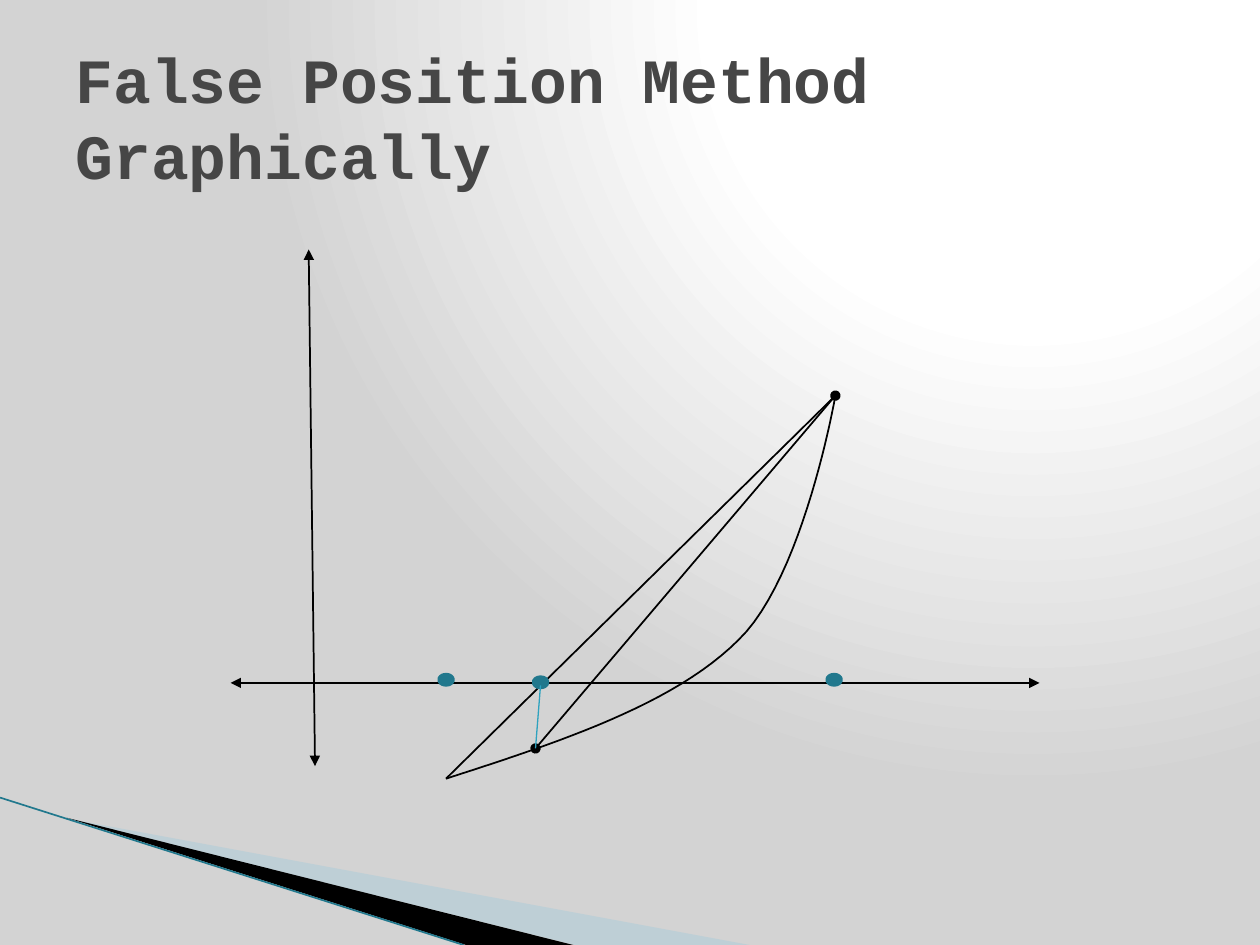
from lxml.etree import SubElement
from pptx import Presentation
from pptx.dml.color import RGBColor
from pptx.enum.shapes import MSO_CONNECTOR, MSO_SHAPE
from pptx.enum.text import MSO_ANCHOR, MSO_AUTO_SIZE, PP_ALIGN
from pptx.oxml import parse_xml
from pptx.oxml.ns import nsdecls, qn
from pptx.util import Inches, Pt

COLORS = {
    "white": "FFFFFF", "gray": "D3D3D3", "title": "464646", "black": "000000",
    "pale": "A0CBDC", "teal": "2DA2BF", "dark_teal": "21788D",
}
BEZIER_STEPS = 24


def rgb(name):
    return RGBColor.from_string(COLORS[name])


def write(frame, text, font, size, color, bold=False, align=PP_ALIGN.LEFT):
    para = frame.paragraphs[0]
    para.alignment = align
    span = para.add_run()
    span.text = text
    span.font.name = font
    span.font.size = Pt(size)
    span.font.bold = bold
    span.font.color.rgb = rgb(color)


def bezier(start, control_1, control_2, end):
    """Points along a cubic curve, without its start."""
    points = []
    for step in range(1, BEZIER_STEPS + 1):
        t = step / BEZIER_STEPS
        weights = ((1 - t) ** 3, 3 * t * (1 - t) ** 2, 3 * t * t * (1 - t), t ** 3)
        corners = list(zip(weights, (start, control_1, control_2, end)))
        points.append(tuple(sum(w * p[axis] for w, p in corners) for axis in (0, 1)))
    return points


class SlidePainter:
    font = "Courier New"

    def __init__(self, page):
        self.page = page
        self.shapes = page.shapes

    def background(self):
        """Radial gradient centred near the top right."""
        fill = self.page.background.fill
        fill.gradient()
        stops = "".join(
            f'<a:gs pos="{place * 1000}"><a:srgbClr val="{COLORS[name]}"/></a:gs>'
            for place, name in ((0, "white"), (40, "white"), (100, "gray")))
        radial = parse_xml(
            f'<a:gradFill {nsdecls("a")} rotWithShape="1"><a:gsLst>{stops}</a:gsLst>'
            '<a:path path="circle"><a:fillToRect l="65000" b="98000"/></a:path>'
            '</a:gradFill>')
        linear = next(self.page.element.iter(qn("a:gradFill")))
        linear.getparent().replace(linear, radial)

    def title(self, text):
        box = self.shapes.title
        box.left, box.top, box.width, box.height = map(Inches, (0.5, 0.3, 9, 1.25))
        frame = box.text_frame
        frame.word_wrap = True
        frame.auto_size = MSO_AUTO_SIZE.NONE
        frame.vertical_anchor = MSO_ANCHOR.MIDDLE
        write(frame, text, font=self.font, size=36, color="title", bold=True)

    def outline(self, points, closed):
        (x, y), *rest = [(Inches(x), Inches(y)) for x, y in points]
        builder = self.shapes.build_freeform(x, y)
        builder.add_line_segments(rest, close=closed)
        shape = builder.convert_to_shape()
        shape.shadow.inherit = False
        return shape

    def wedge(self, points, color, opacity=100):
        shape = self.outline(points, closed=True)
        shape.fill.solid()
        shape.fill.fore_color.rgb = rgb(color)
        shape.line.fill.background()
        if opacity < 100:
            tint = next(shape.element.spPr.iter(qn("a:srgbClr")))
            SubElement(tint, qn("a:alpha"), val=str(opacity * 1000))

    def curve(self, points, color="black", width=1):
        shape = self.outline(points, closed=False)
        shape.fill.background()
        shape.line.color.rgb = rgb(color)
        shape.line.width = Pt(width)

    def line(self, start, end, color="black", width=1, ends=None):
        connector = self.shapes.add_connector(
            MSO_CONNECTOR.STRAIGHT, *map(Inches, start + end))
        connector.line.color.rgb = rgb(color)
        connector.line.width = Pt(width)
        if ends:
            stroke = connector.line._get_or_add_ln()
            for tag in ("a:headEnd", "a:tailEnd"):
                SubElement(stroke, qn(tag), type=ends)
        SubElement(connector.element.spPr, qn("a:effectLst"))

    def marker(self, left, top):
        dot = self.shapes.add_shape(
            MSO_SHAPE.OVAL, *map(Inches, (left, top, 0.08, 0.05)))
        dot.shadow.inherit = False
        dot.fill.solid()
        dot.fill.fore_color.rgb = rgb("teal")
        dot.line.color.rgb = rgb("dark_teal")
        dot.line.width = Pt(4.33)


def main():
    deck = Presentation()
    deck.slide_width, deck.slide_height = Inches(10), Inches(7.5)
    painter = SlidePainter(deck.slides.add_slide(deck.slide_layouts[5]))
    painter.background()
    painter.wedge([(0.55, 6.5), (5.95, 7.5), (4.56, 7.5)], "pale", opacity=40)
    painter.wedge([(0.53, 6.49), (4.55, 7.5), (3.7, 7.5)], "black")
    painter.line((0, 6.33), (3.68, 7.5), color="dark_teal", width=0.95)
    painter.title("False Position Method Graphically")

    painter.line((2.45, 1.98), (2.5, 6.08), ends="triangle")
    painter.line((8.25, 5.42), (1.83, 5.42), ends="triangle")

    lower, bend, upper = (3.54, 6.18), (5.86, 5.08), (6.63, 3.14)
    estimate, next_point = (4.29, 5.44), (4.25, 5.94)
    painter.curve([lower]
                  + bezier(lower, (4.44, 5.89), (5.35, 5.59), bend)
                  + bezier(bend, (6.38, 4.58), upper, upper))
    painter.line(lower, upper)
    for left, top in ((4.25, 5.39), (3.5, 5.37), (6.58, 5.37)):
        painter.marker(left, top)
    painter.line(next_point, upper, ends="oval")
    painter.line(estimate, next_point, color="teal", width=0.75)
    deck.save("out.pptx")


if __name__ == "__main__":
    main()
